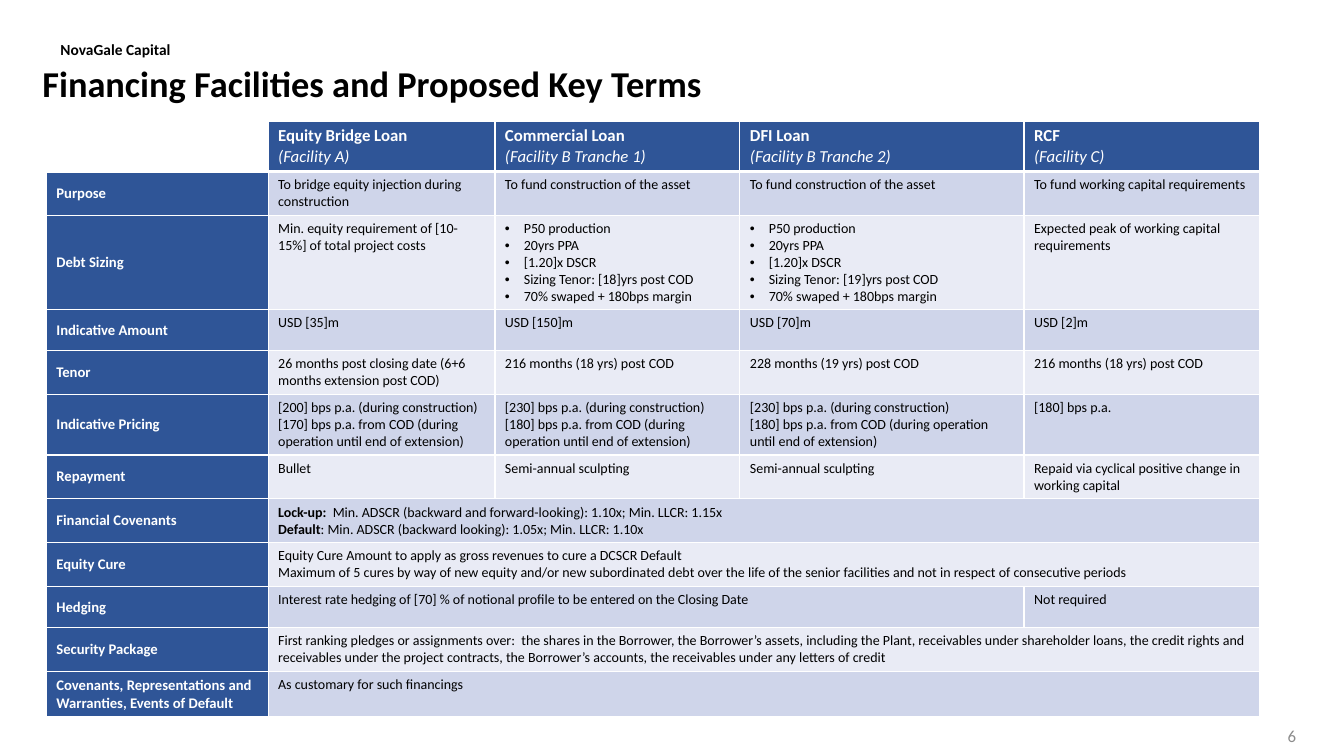
from lxml.etree import SubElement
from pptx import Presentation
from pptx.dml.color import RGBColor
from pptx.enum.shapes import MSO_SHAPE
from pptx.enum.text import MSO_ANCHOR, PP_ALIGN
from pptx.oxml.ns import qn
from pptx.util import Pt

WHITE = RGBColor(0xFF, 0xFF, 0xFF)
BLACK = RGBColor(0, 0, 0)
GREY = RGBColor(0x8C, 0x8C, 0x8C)
NAVY = RGBColor(0x2F, 0x55, 0x97)
BANDS = [RGBColor(0xCF, 0xD5, 0xEA), RGBColor(0xE9, 0xEB, 0xF5)]

COLUMN_WIDTHS = [158.4, 162, 175, 203, 168.5]
ROW_HEIGHT = 29.5
BULLET_INDENT = 13.5

FACILITIES = [
    ("Equity Bridge Loan", "(Facility A)"),
    ("Commercial Loan", "(Facility B Tranche 1)"),
    ("DFI Loan", "(Facility B Tranche 2)"),
    ("RCF", "(Facility C)"),
]
CONSTRUCTION = "To fund construction of the asset"
SIZING = ["•P50 production", "•20yrs PPA", "•[1.20]x DSCR"]
SWAP = "•70% swaped + 180bps margin"
SENIOR_PRICING = [
    "[230] bps p.a. (during construction)",
    "[180] bps p.a. from COD (during operation until end of extension)",
]
TERMS = [
    ("Purpose", [
        ["To bridge equity injection during construction"],
        [CONSTRUCTION],
        [CONSTRUCTION],
        ["To fund working capital requirements"],
    ]),
    ("Debt Sizing", [
        ["Min. equity requirement of [10-15%] of total project costs"],
        SIZING + ["•Sizing Tenor: [18]yrs post COD", SWAP],
        SIZING + ["•Sizing Tenor: [19]yrs post COD", SWAP],
        ["Expected peak of working capital requirements"],
    ]),
    ("Indicative Amount", [["USD [35]m"], ["USD [150]m"], ["USD [70]m"], ["USD [2]m"]]),
    ("Tenor", [
        ["26 months post closing date (6+6 months extension post COD)"],
        ["216 months (18 yrs) post COD"],
        ["228 months (19 yrs) post COD"],
        ["216 months (18 yrs) post COD"],
    ]),
    ("Indicative Pricing", [
        ["[200] bps p.a. (during construction)",
         "[170] bps p.a. from COD (during operation until end of extension)"],
        SENIOR_PRICING,
        SENIOR_PRICING,
        ["[180] bps p.a."],
    ]),
    ("Repayment", [
        ["Bullet"],
        ["Semi-annual sculpting"],
        ["Semi-annual sculpting"],
        ["Repaid via cyclical positive change in working capital"],
    ]),
    ("Financial Covenants", [
        ["Lock-up:  |Min. ADSCR (backward and forward-looking): 1.10x; Min. LLCR: 1.15x",
         "Default|: Min. ADSCR (backward looking): 1.05x; Min. LLCR: 1.10x"],
    ]),
    ("Equity Cure", [
        ["Equity Cure Amount to apply as gross revenues to cure a DCSCR Default",
         "Maximum of 5 cures by way of new equity and/or new subordinated debt over the life "
         "of the senior facilities and not in respect of consecutive periods"],
    ]),
    ("Hedging", [
        ["Interest rate hedging of [70] % of notional profile to be entered on the Closing Date"],
        ["Not required"],
    ]),
    ("Security Package", [
        ["First ranking pledges or assignments over:  the shares in the Borrower, the Borrower’s "
         "assets, including the Plant, receivables under shareholder loans, the credit rights and "
         "receivables under the project contracts, the Borrower’s accounts, the receivables under "
         "any letters of credit"],
    ]),
    ("Covenants, Representations and Warranties, Events of Default", [
        ["As customary for such financings"],
    ]),
]


def add_span(para, text, size, color, bold=False, italic=False):
    span = para.add_run()
    span.text = text
    span.font.name = "Calibri"
    span.font.size = Pt(size)
    span.font.color.rgb = color
    span.font.bold = bold
    span.font.italic = italic


def style_cell(cell, fill, bottom=1):
    properties = cell._tc.get_or_add_tcPr()
    for side, width in (("L", 1), ("R", 1), ("T", 1), ("B", bottom)):
        border = SubElement(properties, qn("a:ln" + side), w=str(Pt(width)))
        SubElement(SubElement(border, qn("a:solidFill")), qn("a:srgbClr"), val=str(WHITE))
    cell.fill.solid()
    cell.fill.fore_color.rgb = fill


deck = Presentation()
deck.slide_width = Pt(960)
deck.slide_height = Pt(540)
page = deck.slides.add_slide(deck.slide_layouts[6])

sponsor = page.shapes.add_shape(MSO_SHAPE.RECTANGLE, Pt(40.3), Pt(26), Pt(89.3), Pt(18.7))
sponsor.shadow.inherit = False
sponsor.fill.background()
sponsor.line.color.rgb = WHITE
sponsor.line.width = Pt(0.75)

title = page.shapes.add_textbox(Pt(27.4), Pt(43.2), Pt(906.5), Pt(36.7))
number = page.shapes.add_textbox(Pt(717), Pt(511.2), Pt(216), Pt(28.8))
for box, text, size, color, bold, align in (
    (sponsor, "NovaGale Capital", 11, BLACK, True, PP_ALIGN.LEFT),
    (title, "Financing Facilities and Proposed Key Terms", 26, BLACK, True, PP_ALIGN.LEFT),
    (number, "6", 12, GREY, False, PP_ALIGN.RIGHT),
):
    frame = box.text_frame
    frame.word_wrap = box is not sponsor
    frame.vertical_anchor = MSO_ANCHOR.MIDDLE
    if box is not number:
        frame.margin_left = frame.margin_right = Pt(2.88)
        frame.margin_top = frame.margin_bottom = Pt(2.88)
    frame.paragraphs[0].alignment = align
    add_span(frame.paragraphs[0], text, size, color, bold)
title.text_frame.paragraphs[0].line_spacing = 0.9

holder = page.shapes.add_table(
    len(TERMS) + 1, len(COLUMN_WIDTHS), Pt(33.1), Pt(86.4), Pt(sum(COLUMN_WIDTHS)), Pt(424))
table = holder.table
for column, width in zip(table.columns, COLUMN_WIDTHS):
    column.width = Pt(width)
for row in table.rows:
    row.height = Pt(ROW_HEIGHT)
holder.height = Pt(424)

style_cell(table.cell(0, 0), WHITE, 3)
for index, (facility, tranche) in enumerate(FACILITIES, 1):
    cell = table.cell(0, index)
    style_cell(cell, NAVY, 3)
    cell.vertical_anchor = MSO_ANCHOR.MIDDLE
    add_span(cell.text_frame.paragraphs[0], facility, 12, WHITE, bold=True)
    add_span(cell.text_frame.add_paragraph(), tranche, 12, WHITE, italic=True)

for row_index, (term, entries) in enumerate(TERMS, 1):
    label = table.cell(row_index, 0)
    style_cell(label, NAVY)
    label.vertical_anchor = MSO_ANCHOR.MIDDLE
    add_span(label.text_frame.paragraphs[0], term, 10.5, WHITE, bold=True)
    for index in range(1, 5):
        style_cell(table.cell(row_index, index), BANDS[(row_index - 1) % 2])

    first_end = 5 - len(entries)
    if first_end > 1:
        table.cell(row_index, 1).merge(table.cell(row_index, first_end))
    starts = [1] + list(range(first_end + 1, 5))
    for start, lines in zip(starts, entries):
        frame = table.cell(row_index, start).text_frame
        for line_index, line in enumerate(lines):
            para = frame.add_paragraph() if line_index else frame.paragraphs[0]
            if line.startswith("•"):
                settings = para._p.get_or_add_pPr()
                settings.set("marL", str(Pt(BULLET_INDENT)))
                settings.set("indent", str(-Pt(BULLET_INDENT)))
                SubElement(settings, qn("a:buFont"), typeface="Arial")
                SubElement(settings, qn("a:buChar"), char="•")
            lead, _, rest = line.lstrip("•").rpartition("|")
            if lead:
                add_span(para, lead, 10, BLACK, bold=True)
            add_span(para, rest, 10, BLACK)

deck.save("out.pptx")
